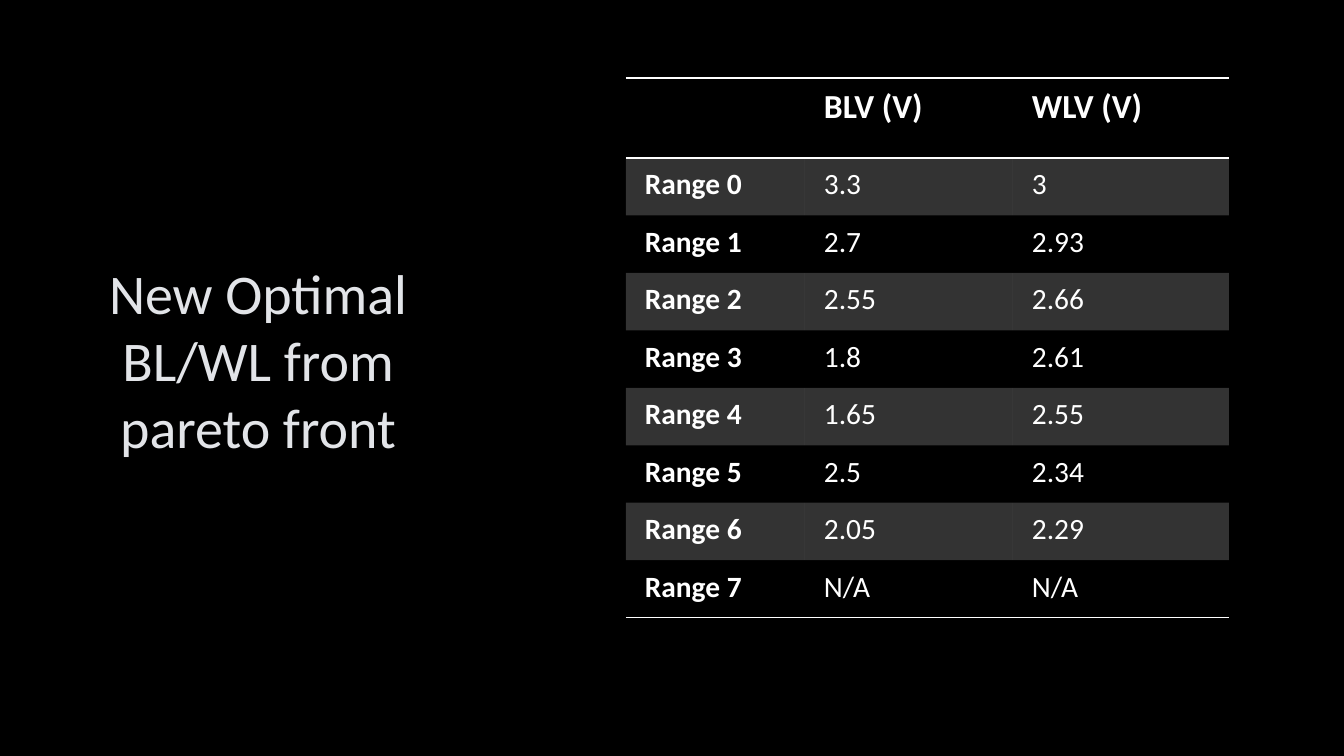
import pptx
import pptx.dml.color
import pptx.enum.text
import pptx.oxml
import pptx.oxml.ns
import pptx.util

BLACK = pptx.dml.color.RGBColor(0x00, 0x00, 0x00)
WHITE = pptx.dml.color.RGBColor(0xFF, 0xFF, 0xFF)
PALE_GREY = pptx.dml.color.RGBColor(0xE2, 0xE4, 0xE8)

HEADER = ["", "BLV (V)", "WLV (V)"]
VOLTAGES = [
    ("3.3", "3"),
    ("2.7", "2.93"),
    ("2.55", "2.66"),
    ("1.8", "2.61"),
    ("1.65", "2.55"),
    ("2.5", "2.34"),
    ("2.05", "2.29"),
    ("N/A", "N/A"),
]


def px(length):
    return pptx.util.Emu(round(length * 914400 / 100.8))


def apply(target, values):
    for name, value in values.items():
        setattr(target, name, value)


class SlideBuilder:
    font_name = "Calibri"
    cell_format = {
        "margin_left": px(19),
        "margin_right": px(14),
        "margin_top": px(9),
        "margin_bottom": px(9),
    }

    def __init__(self, slide):
        self.slide = slide

    def background(self, color):
        fill = self.slide.background.fill
        fill.solid()
        fill.fore_color.rgb = color

    def add_text(self, paragraph, text, size, color, bold=False):
        run = paragraph.add_run()
        run.text = text
        apply(run.font, {"name": self.font_name, "size": pptx.util.Pt(size), "bold": bold})
        run.font.color.rgb = color

    def title(self, text, left, top, width, height):
        shape = self.slide.shapes.add_textbox(px(left), px(top), px(width), px(height))
        apply(shape.text_frame, {
            "word_wrap": True,
            "vertical_anchor": pptx.enum.text.MSO_ANCHOR.MIDDLE,
        })
        paragraph = shape.text_frame.paragraphs[0]
        paragraph.alignment = pptx.enum.text.PP_ALIGN.CENTER
        self.add_text(paragraph, text, 40, PALE_GREY)

    def shade(self, cell, banded):
        if not banded:
            cell.fill.background()
            return
        cell.fill.solid()
        cell.fill.fore_color.rgb = WHITE
        color = cell._tc.tcPr.find(".//" + pptx.oxml.ns.qn("a:srgbClr"))
        color.append(pptx.oxml.parse_xml(
            f'<a:alpha {pptx.oxml.ns.nsdecls("a")} val="20000"/>'))

    def rule(self, cell, ruled_sides):
        for position, side in enumerate("LRTB"):
            paint = "<a:noFill/>"
            if side in ruled_sides:
                paint = f'<a:solidFill><a:srgbClr val="{WHITE}"/></a:solidFill>'
            line = pptx.oxml.parse_xml(
                f'<a:ln{side} {pptx.oxml.ns.nsdecls("a")} w="{pptx.util.Pt(1)}">'
                f"{paint}</a:ln{side}>")
            cell._tc.tcPr.insert(position, line)

    def table(self, rows, left, top, widths, header_height, height):
        shape = self.slide.shapes.add_table(
            len(rows), len(widths), px(left), px(top), px(sum(widths)), px(height))
        table = shape.table
        apply(table, {"first_row": False, "horz_banding": False})
        for column, width in zip(table.columns, widths):
            column.width = px(width)
        row_height = (height - header_height) / (len(rows) - 1)
        ruled_edges = {0, 1, len(rows)}
        for row_index, texts in enumerate(rows):
            is_header = row_index == 0
            table.rows[row_index].height = px(header_height if is_header else row_height)
            ruled_sides = "T" * (row_index in ruled_edges) + "B" * (row_index + 1 in ruled_edges)
            for column_index, text in enumerate(texts):
                cell = table.cell(row_index, column_index)
                apply(cell, self.cell_format)
                if text:
                    self.add_text(cell.text_frame.paragraphs[0], text, 24 if is_header else 21,
                                  WHITE, is_header or column_index == 0)
                self.shade(cell, row_index % 2 == 1)
                self.rule(cell, ruled_sides)


def main():
    presentation = pptx.Presentation()
    apply(presentation, {"slide_width": px(1344), "slide_height": px(756)})
    builder = SlideBuilder(presentation.slides.add_slide(presentation.slide_layouts[6]))
    builder.background(BLACK)
    builder.title("New Optimal BL/WL from pareto front", 70, 68, 376, 582)
    ranges = [(f"Range {index}", *pair) for index, pair in enumerate(VOLTAGES)]
    builder.table([HEADER, *ranges], 626, 78, [179, 208, 216], 80, 540)
    presentation.save("out.pptx")


if __name__ == "__main__":
    main()
